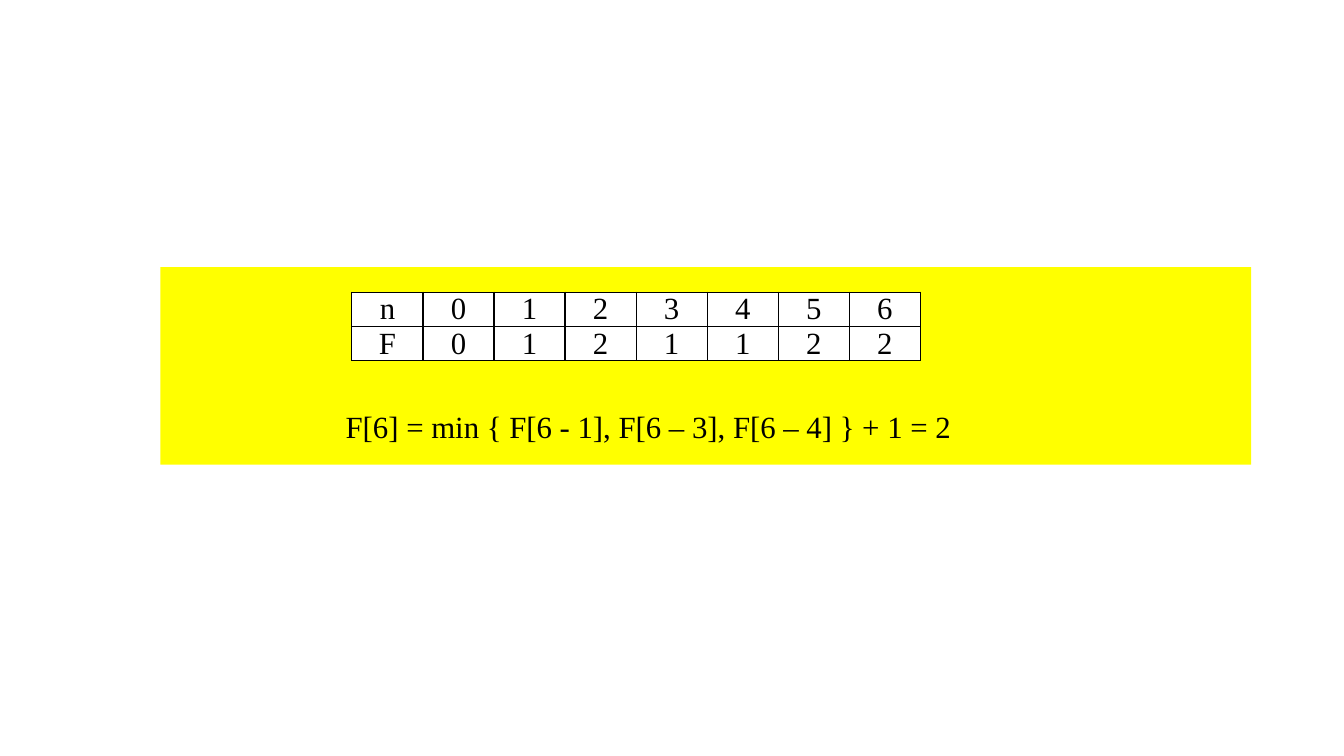
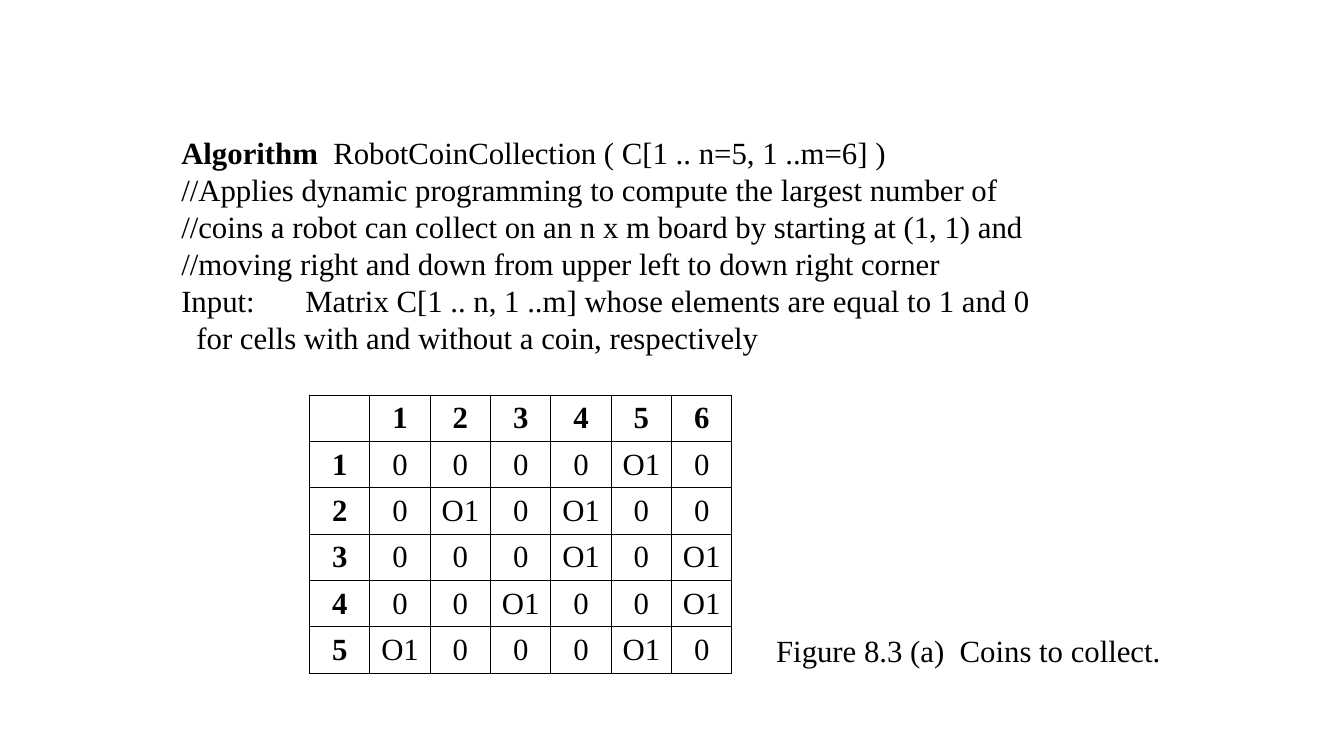
from lxml.etree import SubElement as Sub
from pptx import Presentation
from pptx.dml.color import RGBColor as RGB
from pptx.enum.shapes import MSO_SHAPE as SHAPE
from pptx.enum.text import MSO_ANCHOR as ANCHOR, MSO_AUTO_SIZE as AUTO, PP_ALIGN as ALIGN
from pptx.oxml.ns import qn
from pptx.util import Inches, Pt

BLACK = RGB(0, 0, 0)
WHITE = RGB(255, 255, 255)
YELLOW = RGB(255, 255, 0)
FONT = "Times New Roman"
SIZE = Pt(22)


def write(para, text, bold=False, align=ALIGN.LEFT, left=0, tab=None):
    para.alignment = align
    props = para._p.get_or_add_pPr()
    if left:
        props.set("marL", str(Inches(left)))
    if tab:
        stops = Sub(props, qn("a:tabLst"))
        Sub(stops, qn("a:tab"), pos=str(Inches(tab)), algn="l")
    run = para.add_run()
    run.text = text
    font = run.font
    font.name, font.size, font.bold = FONT, SIZE, bold
    font.color.rgb = BLACK


class Deck:
    def __init__(self):
        self.file = Presentation()
        self.file.slide_width = Inches(13.33)
        self.file.slide_height = Inches(7.5)
        self.slide = None

    def add(self):
        self.slide = self.file.slides.add_slide(self.file.slide_layouts[6])

    def band(self, x, y, w, h):
        box = self.slide.shapes.add_shape(
            SHAPE.RECTANGLE, Inches(x), Inches(y), Inches(w), Inches(h))
        box.shadow.inherit = False
        box.fill.solid()
        box.fill.fore_color.rgb = YELLOW
        box.line.fill.background()

    def text(self, x, y, w, h, lines, wrap=False):
        box = self.slide.shapes.add_textbox(Inches(x), Inches(y), Inches(w), Inches(h))
        frame = box.text_frame
        frame.word_wrap = wrap
        frame.auto_size = AUTO.SHAPE_TO_FIT_TEXT
        for i, line in enumerate(lines):
            para = frame.add_paragraph() if i else frame.paragraphs[0]
            for words, style in line:
                write(para, words, **style)

    def edge(self, cell):
        props = cell._tc.get_or_add_tcPr()
        for side in "LRTB":
            line = Sub(props, qn(f"a:ln{side}"), w=str(Pt(1)))
            Sub(Sub(line, qn("a:solidFill")), qn("a:srgbClr"), val=str(BLACK))

    def table(self, x, y, w, high, rows, heads=False):
        count = len(rows[0])
        grid = self.slide.shapes.add_table(
            len(rows), count, Inches(x), Inches(y),
            Inches(w), Inches(high * len(rows))).table
        grid.first_row = grid.horz_banding = False
        for col in grid.columns:
            col.width = Inches(w / count)
        for r, row in enumerate(rows):
            for c, value in enumerate(row):
                cell = grid.cell(r, c)
                self.edge(cell)
                cell.fill.solid()
                cell.fill.fore_color.rgb = WHITE
                cell.vertical_anchor = ANCHOR.MIDDLE
                cell.margin_left = cell.margin_right = Inches(0.07)
                cell.margin_top = cell.margin_bottom = 0
                if value:
                    write(cell.text_frame.paragraphs[0], value,
                          bold=heads and 0 in (r, c), align=ALIGN.CENTER)


def change(deck):
    deck.add()
    deck.band(1.59, 2.65, 10.82, 1.96)
    deck.table(3.49, 2.9, 5.64, 0.34, ["n0123456", "F0121122"])
    deck.text(3.33, 4, 6.28, 0.47,
              [[("F[6] = min { F[6 - 1], F[6 – 3], F[6 – 4] } + 1 = 2", {})]])


def robot(deck):
    deck.add()
    deck.text(1.7, 1.28, 9.87, 2.32, [
        [("Algorithm  ", {"bold": True}),
         ("RobotCoinCollection ( C[1 .. n=5, 1 ..m=6] )", {})],
        [("//Applies dynamic programming to compute the largest number of", {})],
        [("//coins a robot can collect on an n x m board by starting at (1, 1) and", {})],
        [("//moving right and down from upper left to down right corner", {})],
        [("Input:\tMatrix C[1 .. n, 1 ..m] whose elements are equal to 1 and 0",
          {"tab": 1.23})],
        [("for cells with and without a coin, respectively", {"left": 0.15})],
    ], wrap=True)
    board = ["000010", "010100", "000101", "001001", "100010"]
    rows = [["", *"123456"]]
    for i, line in enumerate(board, 1):
        rows.append([str(i)] + ["O1" if coin == "1" else "0" for coin in line])
    deck.table(3.07, 3.92, 4.19, 0.46, rows, heads=True)
    deck.text(7.6, 6.22, 4.06, 0.47, [[("Figure 8.3 (a)  Coins to collect.", {})]])


def main():
    deck = Deck()
    change(deck)
    robot(deck)
    deck.file.save("out.pptx")


if __name__ == "__main__":
    main()
